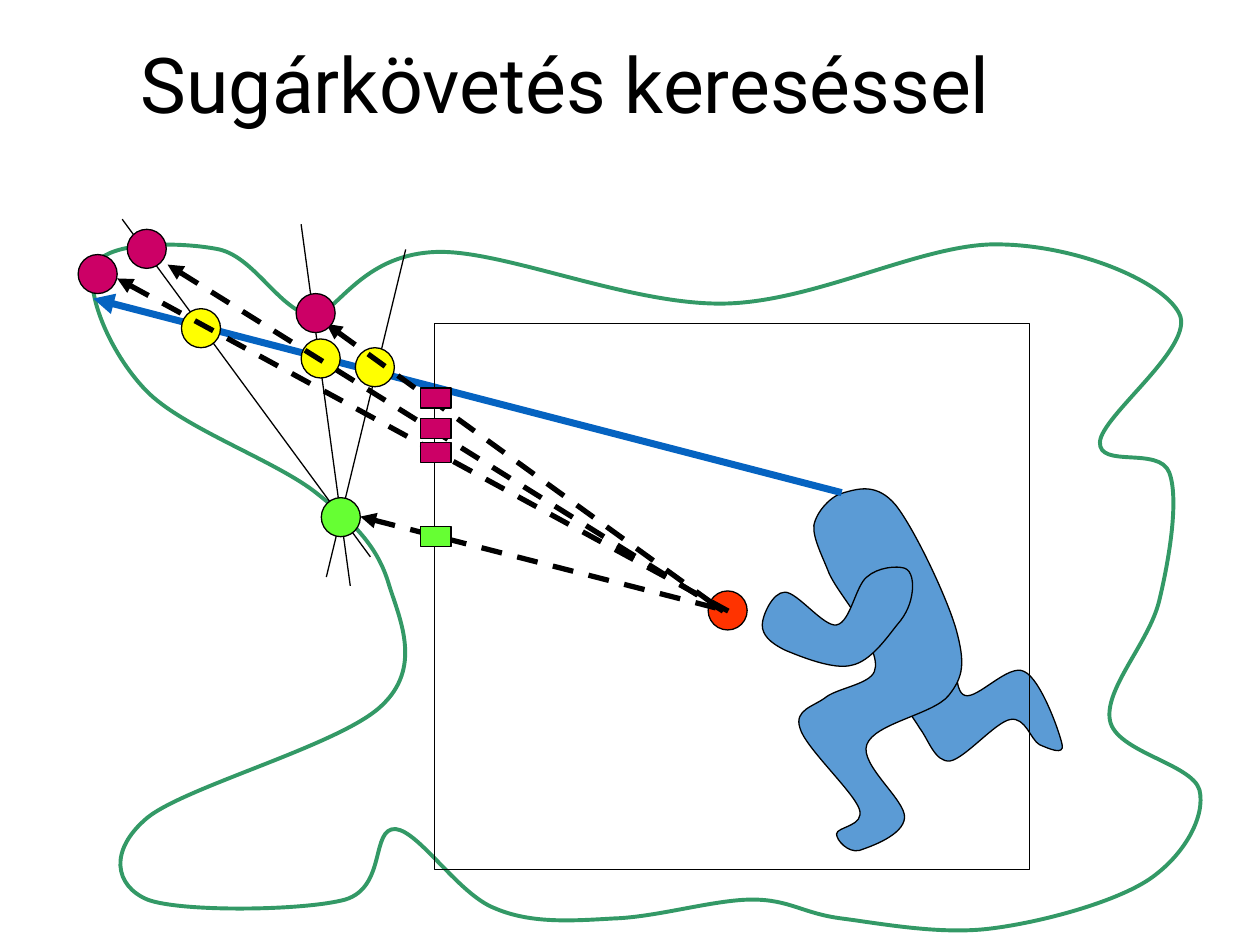
import lxml.etree
import pptx
import pptx.dml.color
import pptx.enum.dml
import pptx.enum.shapes
import pptx.enum.text
import pptx.oxml.ns
import pptx.util

qn = pptx.oxml.ns.qn
SHAPE = pptx.enum.shapes.MSO_SHAPE
CELL = pptx.util.Inches(0.01)
COLS, ROWS = 1000, 750

THEME = {
    "font": "Roboto",
    "title_size": 44,
    "ink": "000000",
    "body": "5B9BD5",
    "surface": "339966",
    "view_ray": "0563C1",
    "eye": "FF3300",
    "sample": "FFFF00",
    "hit": "CC0066",
    "nearest": "66FF33",
    "thin": 0.75,
    "contour": 2.25,
    "dashed": 3,
    "thick": 4,
}

MARKER = 31
PIXEL_X, PIXEL_W, PIXEL_H = 334, 24, 16

LEG = [
    (713, 546), (714, 556, 724, 568, 730, 578), (737, 587, 742, 605, 754, 604),
    (766, 602, 790, 573, 802, 571), (814, 569, 818, 587, 825, 591),
    (832, 594, 845, 600, 843, 591), (841, 581, 826, 539, 813, 533),
    (801, 526, 776, 555, 766, 552), (756, 549, 761, 520, 754, 513),
    (747, 507, 731, 508, 725, 513), (718, 519, 712, 535, 713, 546),
]
TORSO = [
    (711, 401), (696, 383, 681, 388, 670, 391), (660, 393, 648, 406, 646, 417),
    (645, 427, 653, 442, 658, 455), (664, 468, 676, 481, 682, 494),
    (688, 507, 698, 523, 694, 533), (690, 543, 666, 546, 656, 553),
    (646, 561, 630, 563, 635, 578), (639, 593, 677, 628, 682, 642),
    (687, 656, 664, 656, 664, 662), (664, 667, 673, 677, 682, 675),
    (691, 672, 717, 663, 718, 649), (719, 635, 682, 607, 688, 591),
    (694, 574, 741, 567, 753, 552), (765, 537, 766, 526, 759, 500),
    (752, 475, 726, 420, 711, 401),
]
ARM = [
    (724, 470), (723, 478, 720, 487, 712, 496), (704, 506, 691, 525, 676, 528),
    (662, 532, 635, 521, 623, 516), (611, 510, 605, 504, 605, 496),
    (605, 489, 613, 470, 623, 470), (633, 470, 654, 498, 664, 496),
    (675, 494, 679, 465, 688, 458), (697, 450, 712, 449, 718, 451),
    (724, 453, 725, 463, 724, 470),
]
SURFACE = [
    (252, 251), (224, 251, 204, 205, 174, 198), (145, 192, 86, 191, 76, 210),
    (66, 228, 86, 279, 116, 310), (145, 340, 220, 366, 252, 392),
    (285, 418, 301, 437, 309, 465), (318, 493, 335, 530, 303, 560),
    (271, 591, 148, 624, 117, 649), (86, 675, 91, 703, 117, 714),
    (143, 724, 241, 723, 274, 714), (307, 704, 294, 657, 314, 658),
    (333, 660, 364, 710, 393, 721), (421, 733, 453, 731, 487, 729),
    (521, 728, 567, 714, 597, 714), (627, 714, 637, 725, 668, 729),
    (699, 733, 746, 742, 786, 737), (827, 732, 885, 716, 912, 698),
    (940, 679, 957, 648, 952, 627), (946, 606, 886, 597, 881, 572),
    (876, 547, 912, 510, 920, 477), (928, 444, 936, 396, 928, 375),
    (920, 354, 872, 372, 873, 351), (874, 330, 949, 275, 936, 249),
    (923, 223, 855, 195, 794, 194), (734, 192, 648, 240, 574, 241),
    (499, 242, 399, 198, 346, 200), (292, 202, 272, 240, 252, 251),
]

SEARCH_LINES = [
    ((259, 458), (322, 198), (282, 276)),
    ((239, 178), (278, 465), (239, 269)),
    ((97, 174), (294, 442), (144, 245)),
]
RAYS = [
    ((259, 257), (574, 485), (235, 233), 308, "hit"),
    ((133, 210), (574, 485), (101, 182), 332, "hit"),
    ((93, 221), (578, 485), (62, 202), 351, "hit"),
    ((286, 410), (578, 485), (255, 395), 418, "nearest"),
]


def rgb(role):
    return pptx.dml.color.RGBColor.from_string(THEME[role])


def apply(obj, values):
    for name, value in values.items():
        setattr(obj, name, value)


def cells(*counts):
    return [n * CELL for n in counts]


def outline(obj, role="ink", weight="thin"):
    obj.line.color.rgb = rgb(role)
    obj.line.width = pptx.util.Pt(THEME[weight])


def paint(sp, fill=None, line="ink", weight="thin"):
    sp.shadow.inherit = False
    if fill:
        sp.fill.solid()
        sp.fill.fore_color.rgb = rgb(fill)
    else:
        sp.fill.background()
    outline(sp, line, weight)


def add_preset(shapes, kind, box, fill=None):
    sp = shapes.add_shape(kind, *cells(*box))
    paint(sp, fill)


def add_marker(shapes, corner, fill):
    add_preset(shapes, SHAPE.OVAL, (*corner, MARKER, MARKER), fill)


def add_curve(shapes, curve, **style):
    start, *segments = curve
    points = [p for s in segments for p in zip(s[::2], s[1::2])]
    builder = shapes.build_freeform(*start, scale=CELL)
    builder.add_line_segments(points, close=True)
    sp = builder.convert_to_shape()
    steps = list(sp.element.iter(qn("a:lnTo")))
    for first, second, third in zip(steps[::3], steps[1::3], steps[2::3]):
        bezier = lxml.etree.Element(qn("a:cubicBezTo"))
        first.addprevious(bezier)
        for step in (first, second, third):
            bezier.append(step[0])
            step.getparent().remove(step)
    paint(sp, **style)


def add_line(shapes, start, end, role="ink", weight="thin", dash=None, arrow=None):
    straight = pptx.enum.shapes.MSO_CONNECTOR.STRAIGHT
    cxn = shapes.add_connector(straight, *cells(*start, *end))
    outline(cxn, role, weight)
    if dash:
        cxn.line.dash_style = dash
    props = cxn.element.spPr
    if arrow:
        lxml.etree.SubElement(props.find(qn("a:ln")), qn(arrow), type="triangle")
    lxml.etree.SubElement(props, qn("a:effectLst"))


def add_title(shapes, text, box):
    tf = shapes.add_textbox(*cells(*box)).text_frame
    apply(tf, {"word_wrap": True,
               "vertical_anchor": pptx.enum.text.MSO_ANCHOR.MIDDLE})
    p = tf.paragraphs[0]
    p.line_spacing = 0.9
    r = p.add_run()
    r.text = text
    apply(r.font, {"name": THEME["font"],
                   "size": pptx.util.Pt(THEME["title_size"])})
    r.font.color.rgb = rgb("ink")


def add_figure(shapes):
    figure = shapes.add_group_shape().shapes
    for part in (LEG, TORSO, ARM):
        add_curve(figure, part, fill="body")


def add_search_line(shapes, start, end, sample):
    group = shapes.add_group_shape().shapes
    add_line(group, start, end)
    add_marker(group, sample, "sample")


def add_ray(shapes, tip, eye, marker, pixel_y, role):
    group = shapes.add_group_shape().shapes
    add_line(group, tip, eye, weight="dashed",
             dash=pptx.enum.dml.MSO_LINE.DASH, arrow="a:headEnd")
    add_marker(group, marker, role)
    add_preset(group, SHAPE.RECTANGLE, (PIXEL_X, pixel_y, PIXEL_W, PIXEL_H), role)


def main():
    prs = pptx.Presentation()
    apply(prs, {"slide_width": COLS * CELL, "slide_height": ROWS * CELL})
    shapes = prs.slides.add_slide(prs.slide_layouts[6]).shapes
    add_figure(shapes)
    add_curve(shapes, SURFACE, line="surface", weight="contour")
    add_title(shapes, "Sugárkövetés kereséssel", (102, -8, 870, 157))
    add_line(shapes, (668, 391), (74, 237), "view_ray", "thick", arrow="a:tailEnd")
    add_preset(shapes, SHAPE.RECTANGLE, (345, 257, 472, 433))
    add_marker(shapes, (562, 469), "eye")
    for search_line in SEARCH_LINES:
        add_search_line(shapes, *search_line)
    for ray in RAYS:
        add_ray(shapes, *ray)
    prs.save("out.pptx")


if __name__ == "__main__":
    main()
